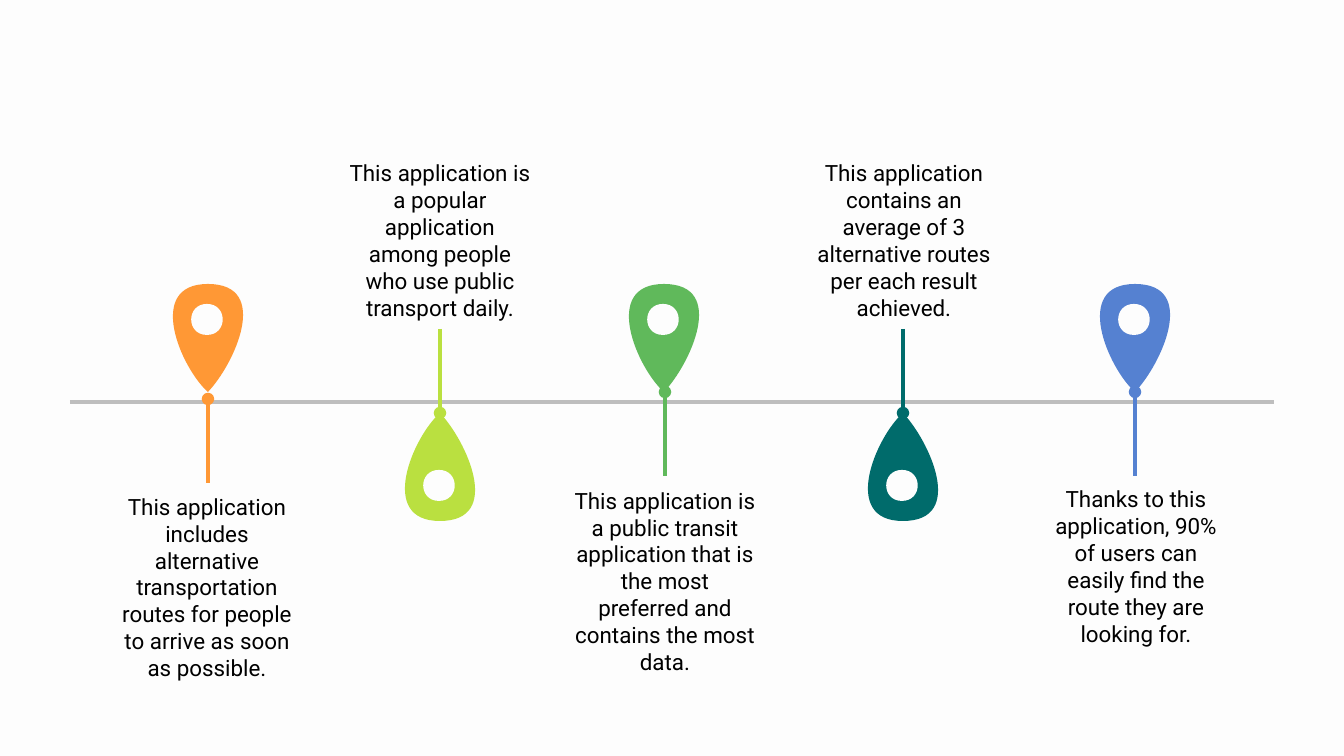
from lxml.etree import SubElement
from pptx import Presentation
from pptx.dml.color import RGBColor
from pptx.enum.shapes import MSO_CONNECTOR
from pptx.enum.text import MSO_ANCHOR, PP_ALIGN
from pptx.oxml.ns import qn
from pptx.util import Pt

# Each stop: pin tip, stem dot, text centre, direction (1 = pin up), colour, text
STOPS = [
    ((208, 392), (208, 399), (207, 587), 1, "FF9835",
     "This application includes alternative transportation routes "
     "for people to arrive as soon as possible."),
    ((440, 413), (440, 413), (440, 240), -1, "BAE040",
     "This application is a popular application among people "
     "who use public transport daily."),
    ((664, 392), (665, 392), (665, 581), 1, "60B95B",
     "This application is a public transit application that is "
     "the most preferred and contains the most data."),
    ((903, 413), (903, 413), (904, 240), -1, "006B6B",
     "This application contains an average of 3 alternative routes "
     "per each result achieved."),
    ((1135, 392), (1135, 392), (1136, 566), 1, "5581D1",
     "Thanks to this application, 90% of users can easily find "
     "the route they are looking for."),
]
THEME = {"font": "Roboto", "size": 12, "text": "000000", "paper": "FDFDFD",
         "axis": "BEBEBE", "line": 2.25}

# Lengths in pixels
SCALE = 914400 / 134.4
SLIDE_W, SLIDE_H = 1344, 756
AXIS_LEFT, AXIS_RIGHT, AXIS_Y = 70, 1274, 402
TEXT_W, TEXT_H, INSET = 210, 78, 13
STEM = 84

# Upright outlines from the pin tip: a start, then three points per cubic curve
DROP = [(0, -108), (-63, -108), (-27, -24), (0, 0),
        (26, -27), (64, -108), (0, -108)]
HOLE = [(-1, -88), (-22, -88), (-22, -57), (-1, -57),
        (20, -57), (20, -88), (-1, -88)]


def px(length):
    """Turn pixels into EMU."""
    return round(length * SCALE)


def rgb(colour):
    """Turn a hex string into a colour."""
    return RGBColor.from_string(colour)


def add_text(slide, text, *, centre, size=THEME["size"],
             colour=THEME["text"], font=THEME["font"]):
    """Add a wrapped caption centred on a point."""
    x, y = centre
    caption = slide.shapes.add_textbox(
        px(x - TEXT_W / 2), px(y - TEXT_H / 2), px(TEXT_W), px(TEXT_H))
    frame = caption.text_frame
    frame.word_wrap = True
    frame.vertical_anchor = MSO_ANCHOR.MIDDLE
    frame.margin_left = frame.margin_right = px(INSET)
    frame.margin_top = frame.margin_bottom = px(INSET)
    paragraph = frame.paragraphs[0]
    paragraph.alignment = PP_ALIGN.CENTER
    run = paragraph.add_run()
    run.text = text
    run.font.size, run.font.name = Pt(size), font
    run.font.color.rgb = rgb(colour)


def add_line(slide, start, end, colour, dot=False):
    """Add a straight line, with a dot at its end if asked."""
    line = slide.shapes.add_connector(
        MSO_CONNECTOR.STRAIGHT, *map(px, start), *map(px, end))
    line.line.color.rgb = rgb(colour)
    line.line.width = Pt(THEME["line"])
    properties = line.element.spPr
    if dot:
        SubElement(properties.find(qn("a:ln")), qn("a:tailEnd"), type="oval")
    SubElement(properties, qn("a:effectLst"))


def bend(outline):
    """Merge every three straight segments into one cubic curve."""
    segments = list(outline.element.iter(qn("a:lnTo")))
    for first in range(0, len(segments), 3):
        curve = segments[first].makeelement(qn("a:cubicBezTo"))
        segments[first].addprevious(curve)
        for segment in segments[first:first + 3]:
            curve.append(segment[0])
            segment.getparent().remove(segment)


def add_outline(group, offsets, tip, direction, colour):
    """Fill a curved outline, flipped when direction is -1."""
    points = [(px(tip[0] + x), px(tip[1] + direction * y)) for x, y in offsets]
    builder = group.shapes.build_freeform(*points[0])
    builder.add_line_segments(points[1:], close=False)
    outline = builder.convert_to_shape()
    bend(outline)
    SubElement(next(outline.element.iter(qn("a:path"))), qn("a:close"))
    outline.fill.solid()
    outline.fill.fore_color.rgb = rgb(colour)
    outline.line.fill.background()
    outline.shadow.inherit = False


def add_pin(slide, tip, direction, colour):
    """Add a map pin with a round hole as one group."""
    pin = slide.shapes.add_group_shape()
    add_outline(pin, DROP, tip, direction, colour)
    add_outline(pin, HOLE, tip, direction, THEME["paper"])


def main():
    """Build the timeline slide."""
    deck = Presentation()
    deck.slide_width, deck.slide_height = px(SLIDE_W), px(SLIDE_H)
    slide = deck.slides.add_slide(deck.slide_layouts[6])
    slide.background.fill.solid()
    slide.background.fill.fore_color.rgb = rgb(THEME["paper"])

    add_line(slide, (AXIS_LEFT, AXIS_Y), (AXIS_RIGHT, AXIS_Y), THEME["axis"])
    for tip, dot, text_centre, direction, colour, text in STOPS:
        add_text(slide, text, centre=text_centre)
        stem_start = (dot[0], dot[1] + direction * STEM)
        add_line(slide, stem_start, dot, colour, dot=True)
        add_pin(slide, tip, direction, colour)
    deck.save("out.pptx")


main()
